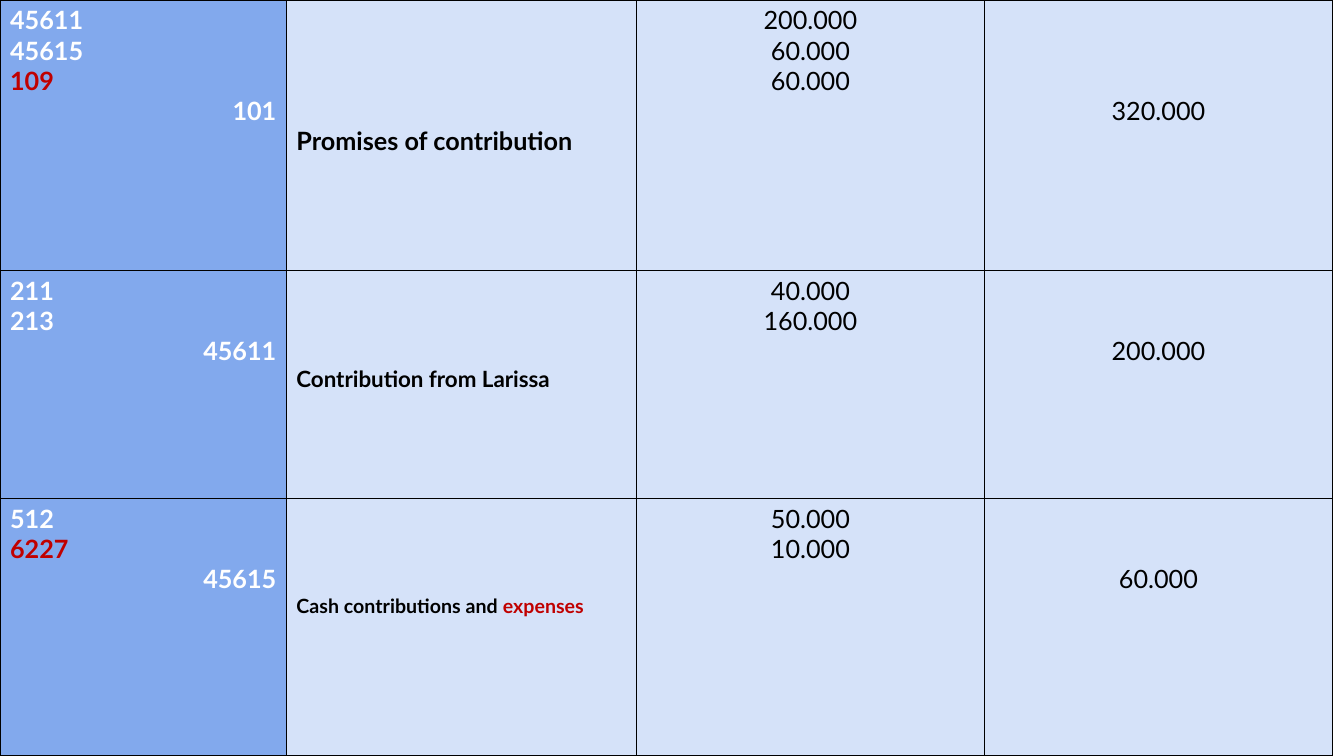
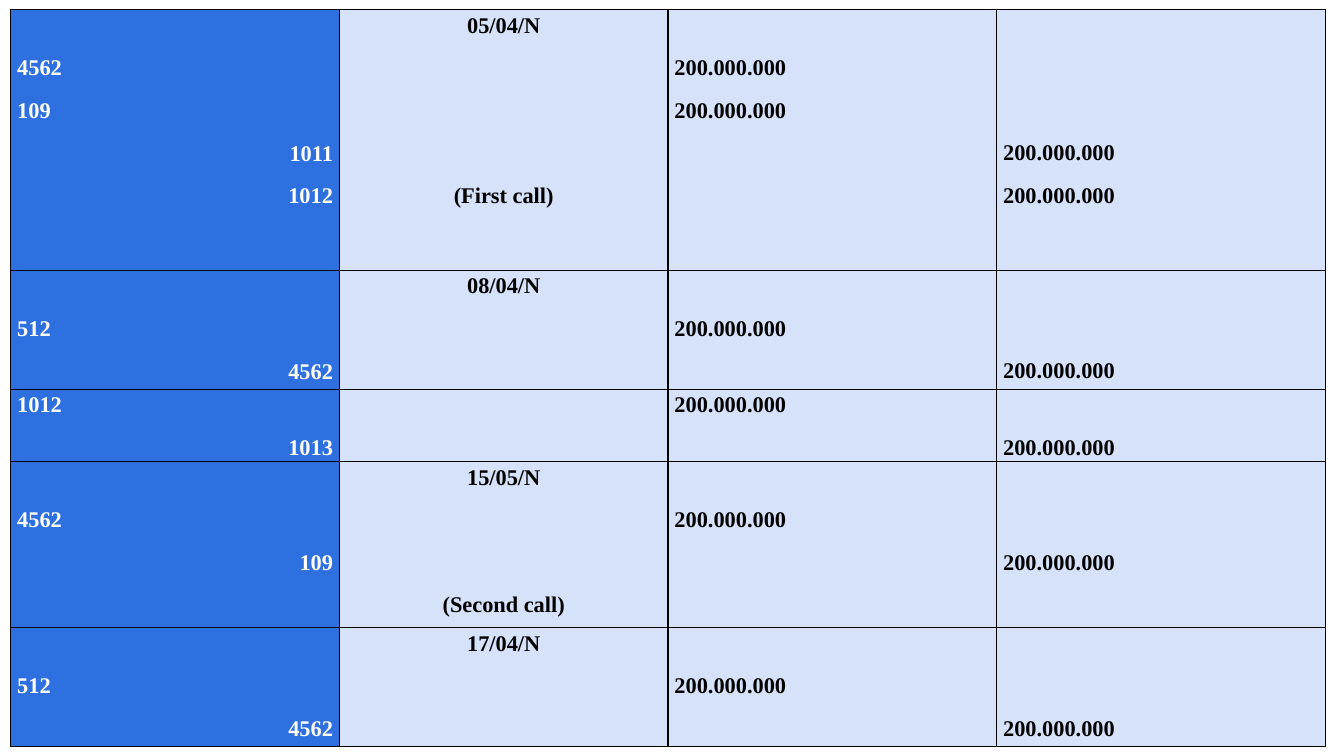
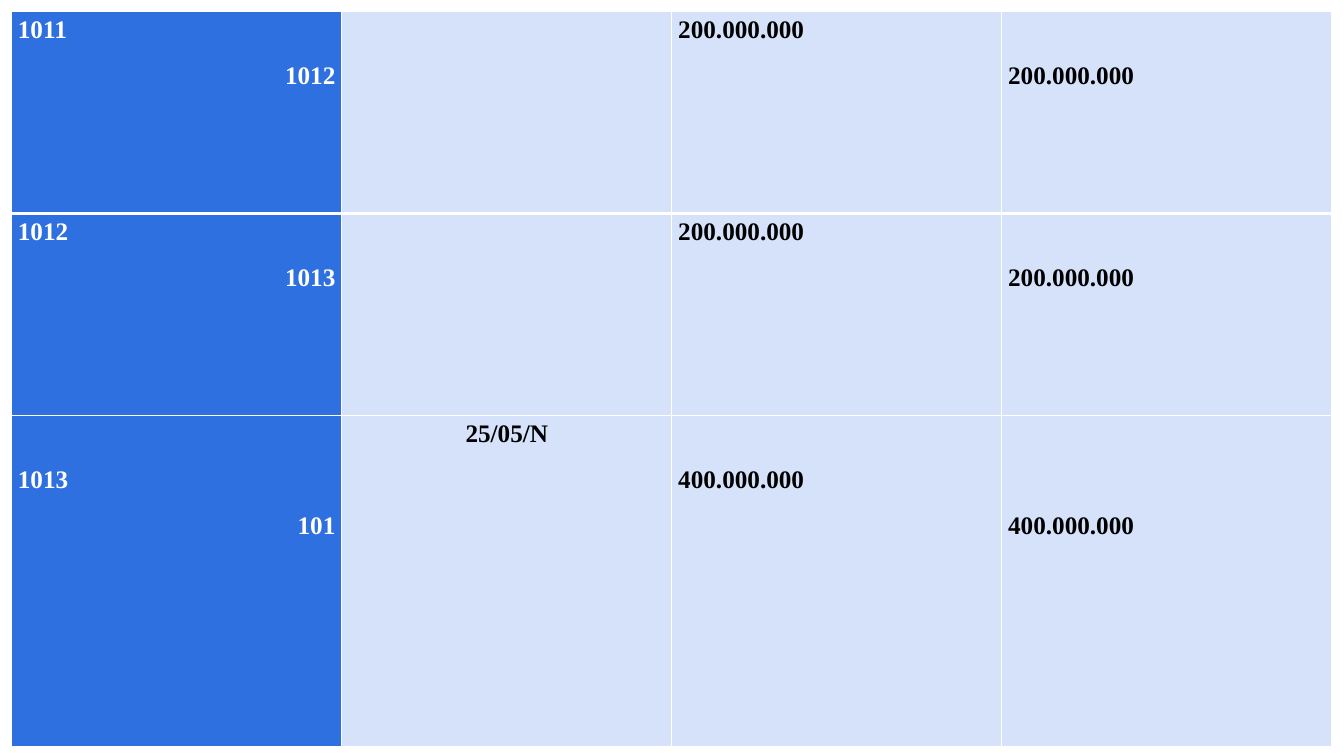
from pptx import Presentation
from pptx.dml.color import RGBColor
from pptx.enum import text
from pptx.oxml import parse_xml
from pptx.oxml.ns import nsdecls
from pptx.util import Pt

WHITE, BLACK, RED, PALE = "FFFFFF", "000000", "C00000", "D5E2F9"
LEFT, CENTER, RIGHT = text.PP_ALIGN.LEFT, text.PP_ALIGN.CENTER, text.PP_ALIGN.RIGHT
M200, M400 = "200.000.000", "400.000.000"


def entry(height, debits, credits, labels=None, first_line=0, label_size=None):
    """One journal entry: debits and credits are (account, amount); labels maps line to runs."""
    return dict(height=height, debits=debits, credits=credits, labels=labels or {},
                first_line=first_line, label_size=label_size)


# Content
CONTRIBUTIONS = [
    entry(193, [("45611", "200.000"), ("45615", "60.000"), ("109", "60.000")],
          [("101", "320.000")], {4: ["Promises of contribution"]}),
    entry(163, [("211", "40.000"), ("213", "160.000")],
          [("45611", "200.000")], {3: ["Contribution from Larissa"]}, label_size=16),
    entry(184, [("512", "50.000"), ("6227", "10.000")],
          [("45615", "60.000")], {3: ["Cash contributions and ", "expenses"]}, label_size=14),
]
CALLS = [
    entry(186.2, [("4562", M200), ("109", M200)], [("1011", M200), ("1012", M200)],
          {0: ["05/04/N"], 4: ["(First call)"]}, first_line=1),
    entry(85, [("512", M200)], [("4562", M200)], {0: ["08/04/N"]}, first_line=1),
    entry(51.6, [("1012", M200)], [("1013", M200)]),
    entry(118.7, [("4562", M200)], [("109", M200)],
          {0: ["15/05/N"], 3: ["(Second call)"]}, first_line=1),
    entry(85, [("512", M200)], [("4562", M200)], {0: ["17/04/N"]}, first_line=1),
]
PAID_UP = [
    entry(144.3, [("1011", M200)], [("1012", M200)]),
    entry(144.3, [("1012", M200)], [("1013", M200)]),
    entry(236.3, [("1013", M400)], [("101", M400)], {0: ["25/05/N"]}, first_line=1),
]

# Styles: pitch is the distance from one line to the next
SERIF = dict(font="Times New Roman", spacing=1.15, after=10, margins=(4.6, 0),
             account_fill="2F70E1", amount_bold=True, amount_align=LEFT,
             label_align=CENTER, red=())
JOURNALS = [
    (CONTRIBUTIONS, dict(font="Lato", size=18, pitch=21.6, spacing=None, after=0,
                         margins=(7.2, 3.6), account_fill="82A9ED", amount_bold=False,
                         amount_align=CENTER, label_align=LEFT,
                         red=("109", "6227", "expenses"), border=BLACK, rules={},
                         corner=(0, 0), columns=(204.6, 250, 248.6, 248.6))),
    (CALLS, dict(SERIF, size=16, pitch=30.37, border=BLACK, rules={},
                 corner=(7.7, 6.8), columns=(234.75,) * 4)),
    (PAID_UP, dict(SERIF, size=18, pitch=32.91, border=WHITE, rules={1: 3},
                   corner=(8.2, 8.2), columns=(236, 235.7, 235.7, 235.7))),
]


def color(value):
    return RGBColor.from_string(value)


def add_text(paragraph, content, *, font, size, fill, bold):
    run = paragraph.add_run()
    run.text = content
    run.font.name, run.font.size, run.font.bold = font, Pt(size), bold
    run.font.color.rgb = color(fill)


def set_borders(cell, border, top, bottom):
    widths = {"lnL": 1, "lnR": 1, "lnT": top, "lnB": bottom}
    properties = cell._tc.get_or_add_tcPr()
    for index, (side, width) in enumerate(widths.items()):
        properties.insert(index, parse_xml(
            f'<a:{side} {nsdecls("a")} w="{Pt(width)}"><a:solidFill>'
            f'<a:srgbClr val="{border}"/></a:solidFill></a:{side}>'))


def fill_cell(cell, lines, style, *, fill, ink, bold, size):
    """Write lines, a list of (line number, alignment, runs), at their line positions."""
    side, top = style["margins"]
    cell.margin_left = cell.margin_right = Pt(side)
    cell.margin_top = cell.margin_bottom = Pt(top)
    cell.fill.solid()
    cell.fill.fore_color.rgb = color(fill)
    if not lines:
        return
    cell.margin_top = Pt(top + lines[0][0] * style["pitch"])
    frame = cell.text_frame
    following = [number for number, _, _ in lines[1:]] + [lines[-1][0] + 1]
    for index, (number, alignment, runs) in enumerate(lines):
        paragraph = frame.add_paragraph() if index else frame.paragraphs[0]
        paragraph.alignment = alignment
        paragraph.line_spacing = style["spacing"]
        skipped = following[index] - number - 1
        paragraph.space_after = Pt(style["after"] + skipped * style["pitch"])
        for content in runs:
            add_text(paragraph, content, font=style["font"], size=size, bold=bold,
                     fill=RED if content in style["red"] else ink)


def add_journal(slide, entries, style):
    columns, corner = style["columns"], style["corner"]
    table = slide.shapes.add_table(
        len(entries), len(columns), Pt(corner[0]), Pt(corner[1]),
        Pt(sum(columns)), Pt(sum(item["height"] for item in entries))).table
    table.first_row = table.horz_banding = False
    for column, width in zip(table.columns, columns):
        column.width = Pt(width)

    for row, item in enumerate(entries):
        table.rows[row].height = Pt(item["height"])
        # Debits come first, to the left; credits follow, to the right
        accounts, debits, credits = [], [], []
        postings = ([(LEFT, debits, pair) for pair in item["debits"]]
                    + [(RIGHT, credits, pair) for pair in item["credits"]])
        for number, (side, amounts, (account, amount)) in enumerate(postings, item["first_line"]):
            accounts.append((number, side, [account]))
            amounts.append((number, style["amount_align"], [amount]))
        labels = [(number, style["label_align"], runs)
                  for number, runs in item["labels"].items()]

        size = style["size"]
        account_look = dict(fill=style["account_fill"], ink=WHITE, bold=True, size=size)
        label_look = dict(fill=PALE, ink=BLACK, bold=True, size=item["label_size"] or size)
        amount_look = dict(fill=PALE, ink=BLACK, bold=style["amount_bold"], size=size)
        parts = [(accounts, account_look), (labels, label_look),
                 (debits, amount_look), (credits, amount_look)]
        for column, (lines, look) in enumerate(parts):
            cell = table.cell(row, column)
            fill_cell(cell, lines, style, **look)
            set_borders(cell, style["border"],
                        style["rules"].get(row, 1), style["rules"].get(row + 1, 1))


def main():
    presentation = Presentation()
    presentation.slide_width, presentation.slide_height = Pt(960), Pt(540)
    blank = presentation.slide_layouts[6]
    for entries, style in JOURNALS:
        add_journal(presentation.slides.add_slide(blank), entries, style)
    presentation.save("out.pptx")


if __name__ == "__main__":
    main()
